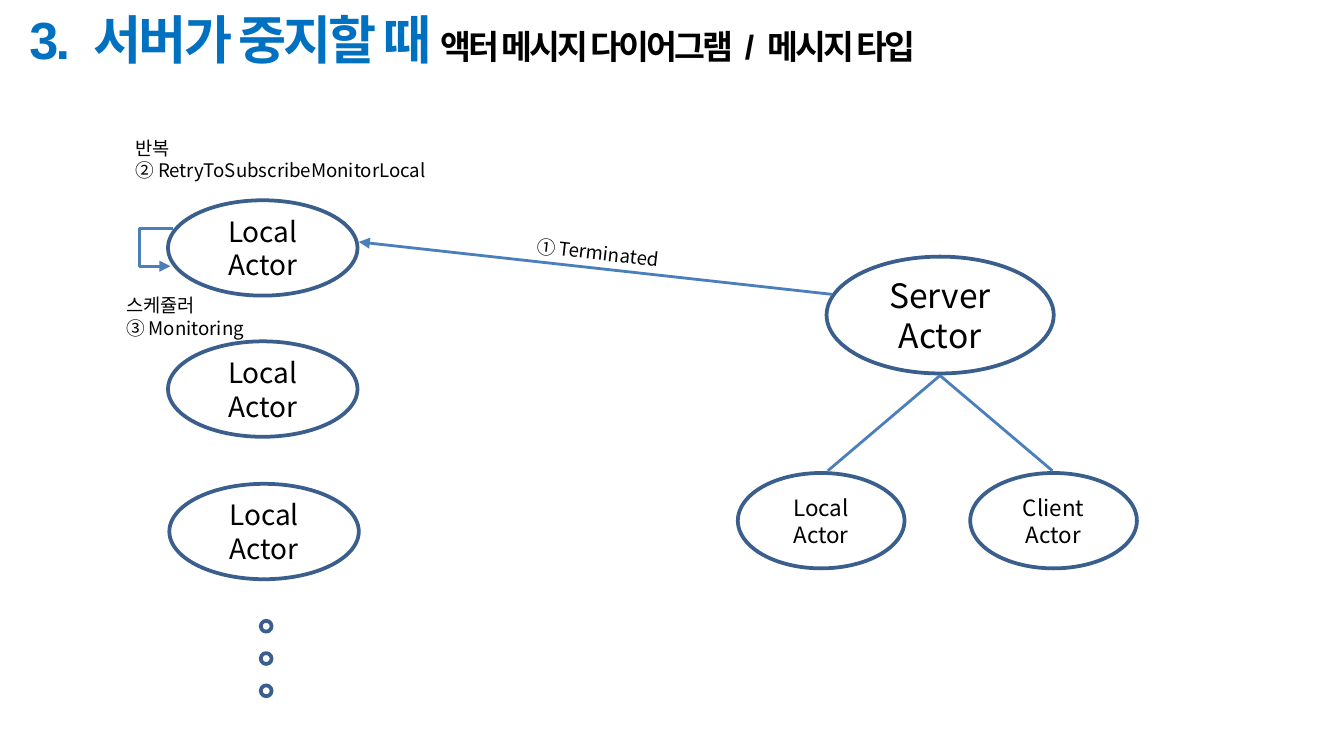
from pptx import Presentation
from pptx.dml.color import RGBColor
from pptx.enum.shapes import MSO_CONNECTOR as Link, MSO_SHAPE as Shape
from pptx.enum.text import MSO_ANCHOR as Anchor, MSO_AUTO_SIZE as AutoSize, PP_ALIGN as Align
from pptx.oxml.ns import qn
from pptx.util import Pt
from lxml.etree import SubElement

BODY_FONT = "Noto Sans CJK KR"
OUTLINE, LINK, BLACK, TITLE_BLUE = "3A5F8C", "4B7EBC", "000000", "0070C0"


def color(hex_value):
    return RGBColor.from_string(hex_value)


def set_all(target, values):
    for name, value in values.items():
        setattr(target, name, value)


def style_run(run, size, hex_value=BLACK, latin="Noto Sans CJK KR", bold=False):
    set_all(run.font, {"name": latin, "size": Pt(size), "bold": bold})
    run.font.color.rgb = color(hex_value)
    SubElement(run.font._element, qn("a:ea")).set("typeface", BODY_FONT)


def set_title(slide):
    title = slide.shapes.title
    set_all(title, {"left": Pt(8.6), "top": Pt(2.9), "width": Pt(702.7), "height": Pt(41)})
    frame = title.text_frame
    set_all(frame, {"margin_left": Pt(7.2), "margin_right": Pt(7.2), "margin_top": Pt(5.8),
                    "margin_bottom": Pt(11.5), "vertical_anchor": Anchor.MIDDLE,
                    "word_wrap": True, "auto_size": AutoSize.NONE})
    heading = frame.paragraphs[0]
    heading.alignment = Align.LEFT
    # Text, size, colour and letter spacing; spaces around marks are wider.
    parts = [("3.", 28, TITLE_BLUE, -1.5), (" ", 28, TITLE_BLUE, 4.8),
             ("서버가 중지할 때 ", 28, TITLE_BLUE, -1.5),
             ("액터 메시지 다이어그램", 18, BLACK, -1.5), (" ", 18, BLACK, 2),
             ("/", 18, BLACK, -1.5), (" ", 18, BLACK, 2), ("메시지 타입", 18, BLACK, -1.5)]
    for text, size, hex_value, spacing in parts:
        run = heading.add_run()
        run.text = text
        style_run(run, size, hex_value, "Arial", True)
        run.font._element.set("spc", str(round(spacing * 100)))


def add_ellipse(slide, left, top, width, height):
    ellipse = slide.shapes.add_shape(Shape.OVAL, Pt(left), Pt(top), Pt(width), Pt(height))
    ellipse.shadow.inherit = False
    ellipse.fill.background()
    ellipse.line.color.rgb = color(OUTLINE)
    ellipse.line.width = Pt(2)
    return ellipse


def add_actor(slide, name, size, left, top, width, height):
    frame = add_ellipse(slide, left, top, width, height).text_frame
    set_all(frame, {"margin_left": Pt(13.7), "margin_right": Pt(13.7), "margin_top": Pt(7.2),
                    "margin_bottom": Pt(7.2), "vertical_anchor": Anchor.MIDDLE,
                    "word_wrap": True})
    label = frame.paragraphs[0]
    label.alignment = Align.CENTER
    run = label.add_run()
    run.text = name
    style_run(run, size)


def add_message(slide, lines, left, top, width, height, rotation=0):
    message = slide.shapes.add_textbox(Pt(left), Pt(top), Pt(width), Pt(height))
    message.rotation = rotation
    frame = message.text_frame
    set_all(frame, {"word_wrap": True, "auto_size": AutoSize.SHAPE_TO_FIT_TEXT})
    for index, text in enumerate(lines):
        paragraph = frame.add_paragraph() if index else frame.paragraphs[0]
        run = paragraph.add_run()
        run.text = text
        style_run(run, 10)


def add_link(slide, start, end, arrow=False, kind=Link.STRAIGHT):
    link = slide.shapes.add_connector(kind, *map(Pt, start + end))
    link.line.color.rgb = color(LINK)
    link.line.width = Pt(1.5)
    if arrow:
        SubElement(link.line._get_or_add_ln(), qn("a:tailEnd")).set("type", "triangle")
    SubElement(link._element.spPr, qn("a:effectLst"))
    return link


def add_retry_loop(slide, start, end, bend_x):
    """Elbow arrow that leaves and re-enters an actor on its left side."""
    loop = add_link(slide, start, end, True, Link.ELBOW)
    adjustments = loop._element.spPr.find(qn("a:prstGeom")).get_or_add_avLst()
    bend = round((start[0] - bend_x) / (start[0] - end[0]) * 100000)
    guide = SubElement(adjustments, qn("a:gd"))
    guide.set("name", "adj1")
    guide.set("fmla", f"val {bend}")


def main():
    deck = Presentation()
    set_all(deck, {"slide_width": Pt(720), "slide_height": Pt(405)})
    slide = deck.slides.add_slide(deck.slide_layouts[5])
    set_title(slide)

    add_actor(slide, "Server Actor", 18, 442.8, 137.5, 121.7, 62.6)
    for name, left in (("Local Actor", 395.3), ("Client Actor", 519.8)):
        add_actor(slide, name, 12, left, 253.4, 89.3, 51.1)
    for child_x in (443.5, 563.8):
        add_link(slide, (503.6, 201.2), (child_x, 252.2))

    for left, top in ((90, 107.3), (90, 182.9), (90.7, 259.2)):
        add_actor(slide, "Local Actor", 15, left, top, 101.5, 51.1)
    for step in range(3):
        add_ellipse(slide, 139.7, 332.6 + step * 17.3, 5.8, 5.8)

    add_link(slide, (445.7, 157.7), (192.2, 129.6), arrow=True)
    add_retry_loop(slide, (92.9, 122.4), (91.4, 142.6), 74.9)
    add_message(slide, ["① Terminated"], 280.1, 129.6, 148.3, 19.4, 6.4)
    add_message(slide, ["반복", "② RetryToSubscribeMonitorLocal"], 65.5, 69.8, 170.6, 31.7)
    add_message(slide, ["스케쥴러", "③ Monitoring"], 60.5, 154.1, 170.6, 31.7)
    deck.save("out.pptx")


if __name__ == "__main__":
    main()
